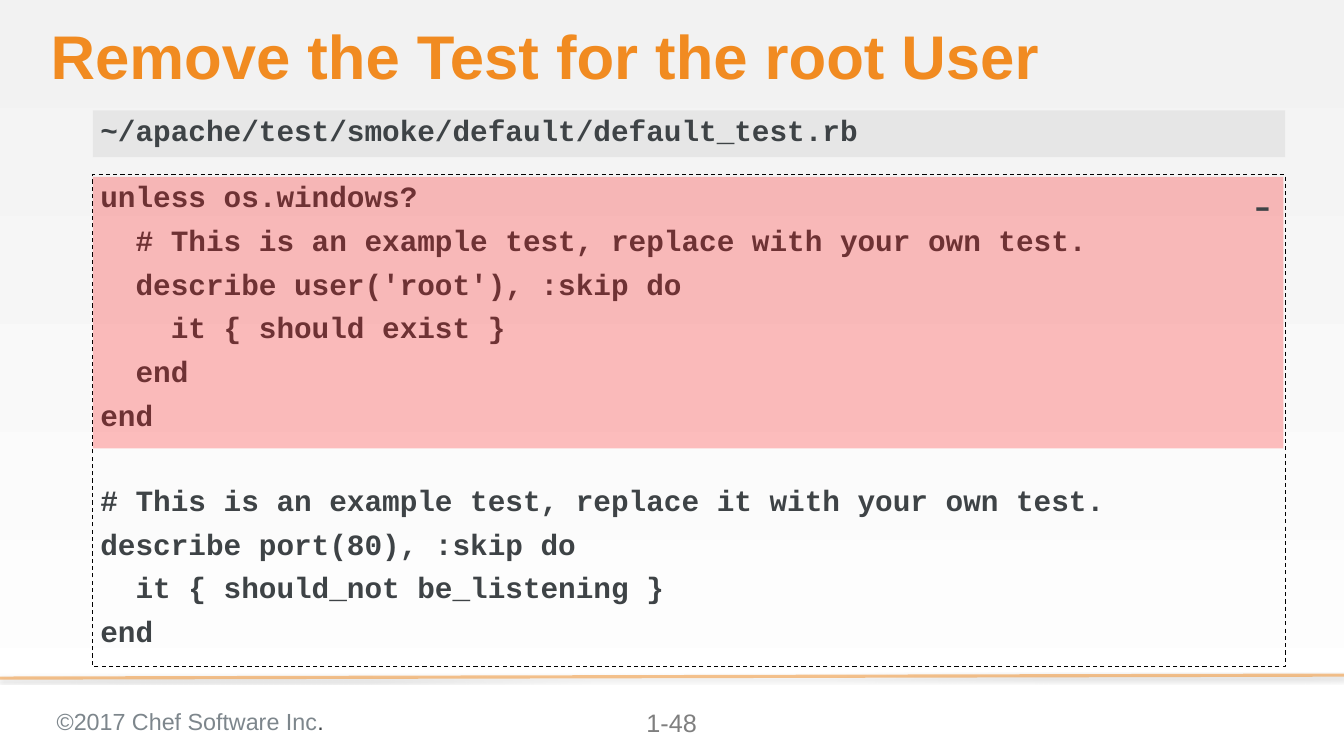
from dataclasses import dataclass
from typing import Optional

import pptx
import pptx.dml.color
import pptx.enum.dml
import pptx.enum.shapes
import pptx.enum.text
import pptx.oxml
import pptx.oxml.ns
import pptx.util
from pptx.dml.color import RGBColor

ORANGE = RGBColor(0xF1, 0x8B, 0x21)
INK = RGBColor(0x3E, 0x43, 0x46)
FOOTER_GRAY = RGBColor(0x7D, 0x86, 0x8C)
NUMBER_GRAY = RGBColor(0x7F, 0x7F, 0x7F)
BAR_GRAY = RGBColor(0xD9, 0xD9, 0xD9)
RED = RGBColor(0xFF, 0x00, 0x00)
BLACK = RGBColor(0x00, 0x00, 0x00)
BACKGROUND = (RGBColor(0xF2, 0xF2, 0xF2), RGBColor(0xFF, 0xFF, 0xFF))

WIDTH = pptx.util.Inches(17.78)
HEIGHT = pptx.util.Inches(10)
SANS, MONO = "Arial", "Courier New"
CODE_SIZE = 28
LINE_GAP = 8
EMPTY_LINE = 31.7

ALIGN = pptx.enum.text.PP_ALIGN
ANCHOR = pptx.enum.text.MSO_ANCHOR

REMOVED_CODE = """unless os.windows?
  # This is an example test, replace with your own test.
  describe user('root'), :skip do
    it { should exist }
  end
end"""
KEPT_CODE = """# This is an example test, replace it with your own test.
describe port(80), :skip do
  it { should_not be_listening }
end"""


@dataclass(frozen=True)
class Frame:
    """A rectangle in percent of the slide's width and height."""

    left: float
    top: float
    width: float
    height: float

    def lengths(self) -> tuple[int, int, int, int]:
        return (across(self.left), down(self.top), across(self.width), down(self.height))


@dataclass(frozen=True)
class Panel:
    frame: Frame
    fill: Optional[RGBColor] = None
    opacity: int = 100
    border: Optional[RGBColor] = None


TITLE = Frame(3.77, 3.3, 91.85, 9.1)
COPYRIGHT = Frame(3.66, 92.5, 33.18, 5.2)
NUMBER = Frame(45.56, 92.5, 8.83, 5.7)
FILE_BAR = Panel(Frame(6.92, 14.6, 88.7, 6.2), fill=BAR_GRAY, opacity=50)
CODE_BOX = Panel(Frame(6.92, 23.1, 88.7, 65.1), border=BLACK)
REMOVED_BOX = Panel(Frame(6.92, 23.4, 88.58, 35.9), fill=RED, opacity=25)


def across(percent: float) -> int:
    return round(WIDTH * percent / 100)


def down(percent: float) -> int:
    return round(HEIGHT * percent / 100)


def set_opacity(parent, percent: int) -> None:
    """Make the solid colour inside the given XML element translucent."""
    color = parent.find(".//" + pptx.oxml.ns.qn("a:srgbClr"))
    namespace = pptx.oxml.ns.nsdecls("a")
    color.append(pptx.oxml.parse_xml(f'<a:alpha {namespace} val="{percent * 1000}"/>'))


def add_panel(slide, panel: Panel):
    shape = slide.shapes.add_shape(
        pptx.enum.shapes.MSO_SHAPE.RECTANGLE, *panel.frame.lengths())
    shape.shadow.inherit = False
    if panel.fill is None:
        shape.fill.background()
    else:
        shape.fill.solid()
        shape.fill.fore_color.rgb = panel.fill
        set_opacity(shape.fill._xPr, panel.opacity)
    if panel.border is None:
        shape.line.fill.background()
    else:
        shape.line.color.rgb = panel.border
        shape.line.width = pptx.util.Pt(1)
        shape.line.dash_style = pptx.enum.dml.MSO_LINE.DASH
    return shape


def write(shape, text: str, *, size: float, color: RGBColor, font: str = SANS,
          bold: bool = False, align=ALIGN.LEFT, anchor=ANCHOR.TOP,
          insets=(0.1, 0.1, 0.1, 0.1), gap: float = 0,
          line_spacing: Optional[float] = None) -> None:
    """Write one paragraph per line; an empty line becomes space before the next."""
    frame = shape.text_frame
    frame.word_wrap = True
    frame.vertical_anchor = anchor
    (frame.margin_left, frame.margin_top, frame.margin_right,
     frame.margin_bottom) = map(pptx.util.Inches, insets)
    space = 0
    for index, line in enumerate(text.split("\n")):
        if not line:
            space += EMPTY_LINE + gap
            continue
        paragraph = frame.add_paragraph() if index else frame.paragraphs[0]
        paragraph.alignment = align
        paragraph.space_before = pptx.util.Pt(space)
        if line_spacing:
            paragraph.line_spacing = line_spacing
        add_run(paragraph, line, size=size, color=color, font=font, bold=bold)
        space = gap


def add_run(paragraph, text: str, *, size: float, color: RGBColor,
            font: str = SANS, bold: bool = False) -> None:
    run = paragraph.add_run()
    run.text = text
    run.font.name = font
    run.font.size = pptx.util.Pt(size)
    run.font.bold = bold
    run.font.color.rgb = color


def add_text(slide, frame: Frame, text: str, **text_format):
    box = slide.shapes.add_textbox(*frame.lengths())
    write(box, text, **text_format)
    return box


def paint_background(slide) -> None:
    fill = slide.background.fill
    fill.gradient()
    fill.gradient_angle = 270
    for stop, color, position in zip(fill.gradient_stops, BACKGROUND, (0, 1)):
        stop.color.rgb = color
        stop.position = position


def add_footer_rule(slide) -> None:
    rule = slide.shapes.add_connector(
        pptx.enum.shapes.MSO_CONNECTOR.STRAIGHT,
        across(100), down(89.3), across(0), down(89.7))
    rule.line.color.rgb = ORANGE
    rule.line.width = pptx.util.Pt(3)
    properties = rule._element.spPr
    set_opacity(properties, 50)
    blur, distance = pptx.util.Pt(3.1), pptx.util.Pt(1.8)
    properties.append(pptx.oxml.parse_xml(
        f'<a:effectLst {pptx.oxml.ns.nsdecls("a")}>'
        f'<a:outerShdw blurRad="{blur}" dist="{distance}" dir="5400000" rotWithShape="0">'
        f'<a:srgbClr val="{BLACK}"><a:alpha val="35000"/></a:srgbClr>'
        '</a:outerShdw></a:effectLst>'))


def main() -> None:
    presentation = pptx.Presentation()
    presentation.slide_width, presentation.slide_height = WIDTH, HEIGHT
    slide = presentation.slides.add_slide(presentation.slide_layouts[6])
    paint_background(slide)
    add_footer_rule(slide)

    footer = add_text(slide, COPYRIGHT, "©2017 Chef Software Inc", size=22.2, color=FOOTER_GRAY)
    add_run(footer.text_frame.paragraphs[0], ".", size=22.2, color=INK)
    add_text(slide, NUMBER, "1-48", size=24, color=NUMBER_GRAY, align=ALIGN.CENTER)
    add_text(slide, TITLE, "Remove the Test for the root User", size=58.7, color=ORANGE,
             bold=True, anchor=ANCHOR.MIDDLE, insets=(0, 0, 0, 0), line_spacing=0.9)

    code_format = dict(size=CODE_SIZE, color=INK, font=MONO, bold=True)
    write(add_panel(slide, CODE_BOX), f"{REMOVED_CODE}\n\n{KEPT_CODE}",
          gap=LINE_GAP, insets=(0.1, 0.05, 0.1, 0.05), **code_format)
    write(add_panel(slide, FILE_BAR), "~/apache/test/smoke/default/default_test.rb",
          anchor=ANCHOR.MIDDLE, insets=(0.1, 0, 0, 0.1), **code_format)
    write(add_panel(slide, REMOVED_BOX), "-", size=42.7, color=INK, font=MONO,
          align=ALIGN.RIGHT, insets=(0, 0, 0.1, 0.65))
    presentation.save("out.pptx")


if __name__ == "__main__":
    main()
